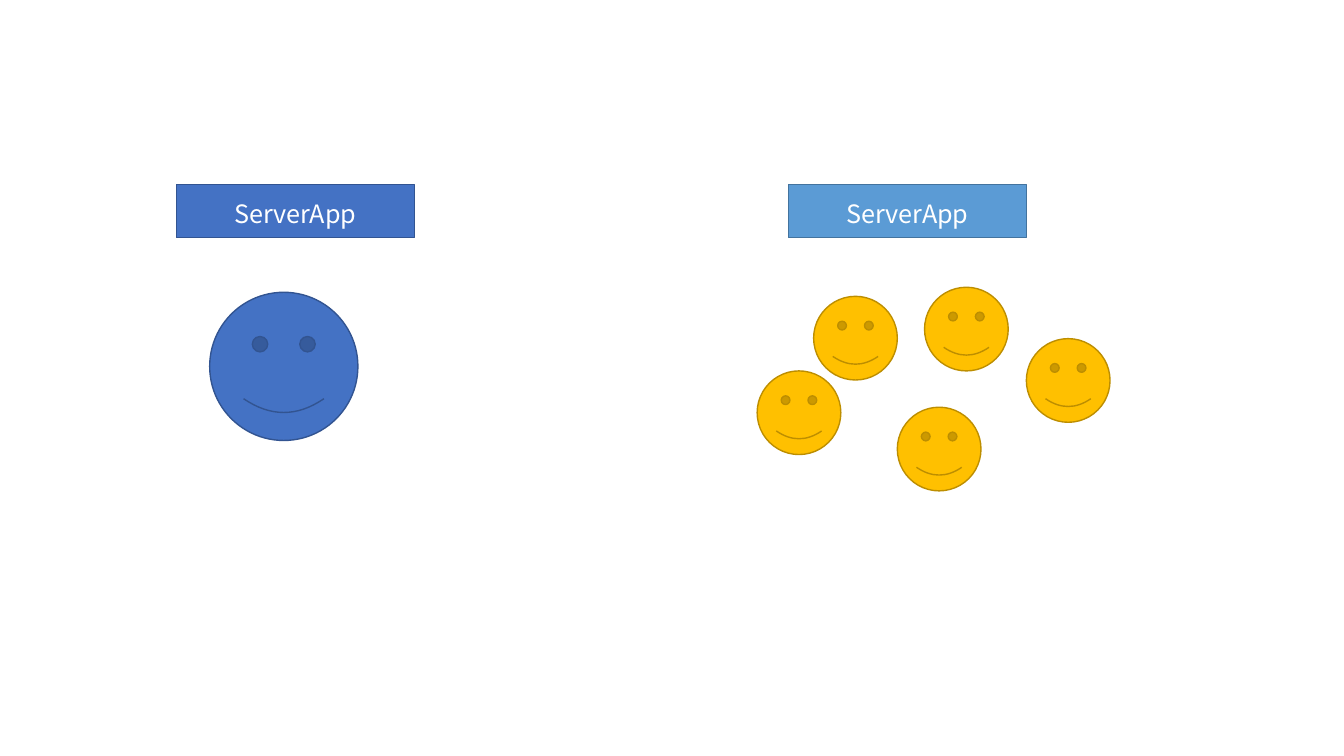
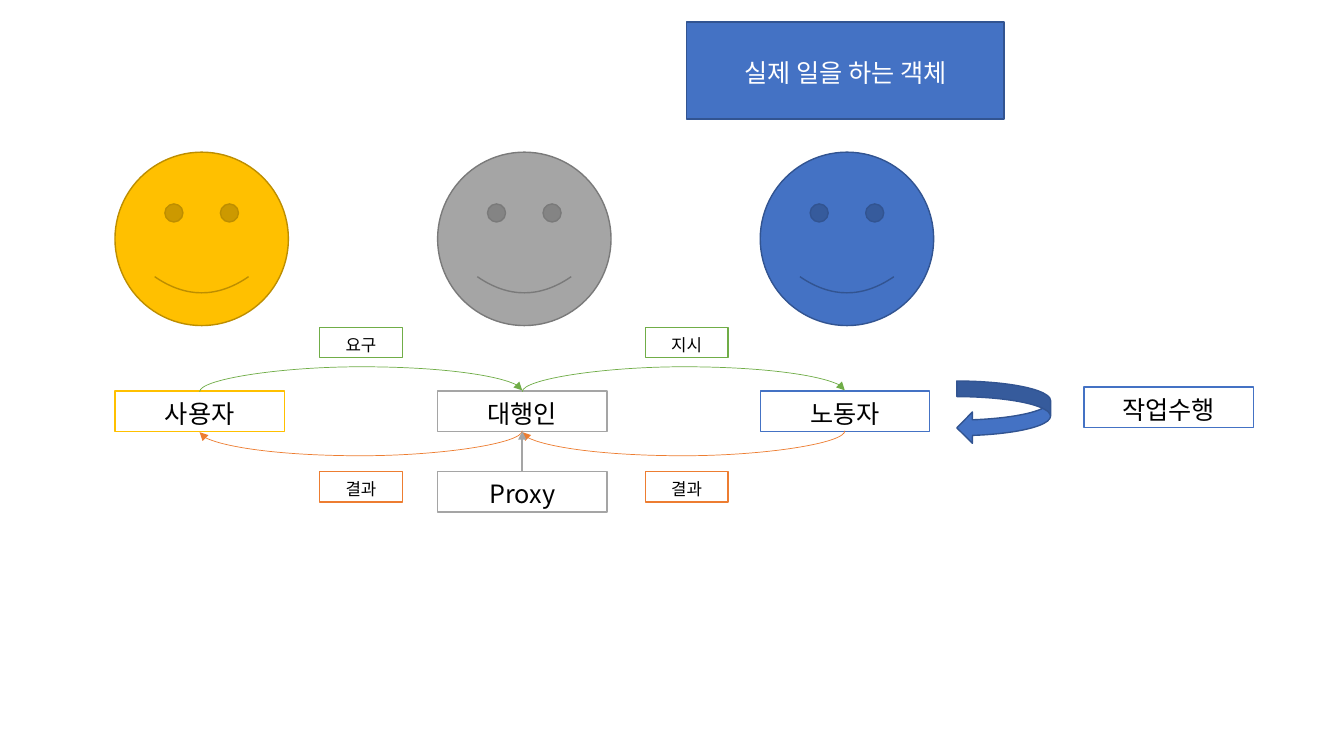
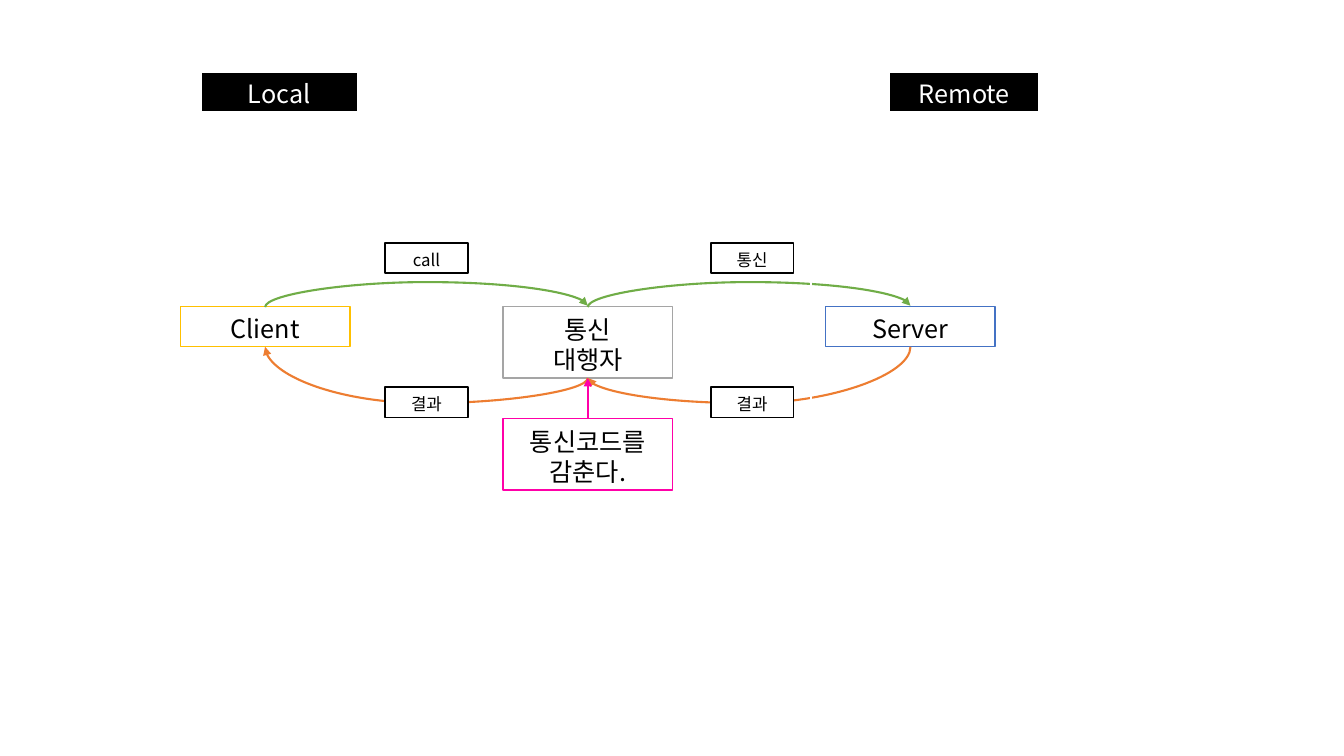
import pptx
import pptx.util
import pptx.dml.color
import pptx.enum.shapes
import pptx.enum.text
import pptx.oxml
import pptx.oxml.ns

SHAPES = pptx.enum.shapes.MSO_SHAPE
CONNECTORS = pptx.enum.shapes.MSO_CONNECTOR
FONT = "Noto Sans CJK KR"
CELL = pptx.util.Inches(0.1)
COLORS = {
    "white": "FFFFFF", "black": "000000", "blue": "4472C4", "navy": "325491",
    "sky": "5B9BD5", "steel": "43739E", "gold": "FFC000", "ochre": "BD8E00",
    "gray": "A5A5A5", "slate": "7A7A7A", "green": "70AD47", "orange": "ED7D31",
    "pink": "FF00A8",
}
EDGES = {"blue": "navy", "sky": "steel", "gold": "ochre", "gray": "slate"}

BOX_WIDTH, BOX_HEIGHT = 16.8, 4
LABEL_WIDTH, LABEL_HEIGHT = 8.2, 3
BOX_PITCH, LABEL_PITCH = 32, 32.3
LABEL_INSET, CALL_RISE, RESULT_DROP = 20.3, 6.3, 8
ARC_DEPTH = 2.5


def cells(count):
    return round(count * CELL)


def color(name):
    return pptx.dml.color.RGBColor.from_string(COLORS[name])


def add_figure(slide, kind, box, fill, line, width=1):
    shape = slide.shapes.add_shape(kind, *map(cells, box))
    shape.shadow.inherit = False
    shape.fill.solid()
    shape.fill.fore_color.rgb = color(fill)
    shape.line.color.rgb = color(line)
    shape.line.width = pptx.util.Pt(width)
    return shape


def add_box(slide, box, text, line, fill="white", ink="black", size=18, width=1):
    shape = add_figure(slide, SHAPES.RECTANGLE, box, fill, line, width)
    frame = shape.text_frame
    frame.word_wrap = True
    frame.vertical_anchor = pptx.enum.text.MSO_ANCHOR.MIDDLE
    frame.margin_top = pptx.util.Inches(0.04)
    frame.margin_bottom = 0
    for index, words in enumerate(text.split("\n")):
        paragraph = frame.add_paragraph() if index else frame.paragraphs[0]
        paragraph.alignment = pptx.enum.text.PP_ALIGN.CENTER
        paragraph.line_spacing = pptx.util.Pt(size * 1.2)
        run = paragraph.add_run()
        run.text = words
        run.font.name = FONT
        run.font.size = pptx.util.Pt(size)
        run.font.color.rgb = color(ink)
        properties = run.font._element
        east_asian = properties.makeelement(pptx.oxml.ns.qn("a:ea"), {"typeface": FONT})
        properties.find(pptx.oxml.ns.qn("a:latin")).addnext(east_asian)


def add_smiley(slide, box, fill):
    add_figure(slide, SHAPES.SMILEY_FACE, box, fill, EDGES[fill])


def add_line(slide, start, end, line, width=1.5, arrow=True, kind=CONNECTORS.STRAIGHT):
    connector = slide.shapes.add_connector(kind, *map(cells, (*start, *end)))
    connector.line.color.rgb = color(line)
    connector.line.width = pptx.util.Pt(width)
    if arrow:
        pptx.oxml.ns.qn("a:tailEnd")
        outline = connector.line._get_or_add_ln()
        tail = outline.makeelement(pptx.oxml.ns.qn("a:tailEnd"), {"type": "triangle"})
        outline.append(tail)
    properties = connector._element.spPr
    properties.append(properties.makeelement(pptx.oxml.ns.qn("a:effectLst"), {}))
    return connector


def add_arc(slide, start, end, crest, line, width):
    connector = add_line(slide, start, end, line, width, kind=CONNECTORS.CURVE)
    (start_x, start_y), (end_x, end_y) = start, end
    depth = max(cells(abs(end_y - start_y)), pptx.util.Pt(1))
    span = cells(abs(end_x - start_x))
    rising = end_y < start_y or (end_y == start_y and crest < start_y)
    connector.left = round(cells((start_x + end_x) / 2) - depth / 2)
    connector.top = round(cells((start_y + end_y) / 2) - span / 2)
    connector.width, connector.height = depth, span
    properties = connector._element.spPr
    frame = properties.find(pptx.oxml.ns.qn("a:xfrm"))
    frame.set("rot", str(90 * 60000))
    frame.set("flipH", str(int(rising)))
    frame.set("flipV", str(int(end_x > start_x)))
    bend = cells(crest - start_y) / depth * (-1 if rising else 1)
    geometry = properties.find(pptx.oxml.ns.qn("a:prstGeom"))
    geometry.set("prst", "curvedConnector3")
    adjustments = geometry.get_or_add_avLst()
    adjustments.append(adjustments.makeelement(
        pptx.oxml.ns.qn("a:gd"), {"name": "adj1", "fmla": f"val {round(bend * 100000)}"}))


def add_relay(slide, left, top, roles, calls, results, note, arc_width):
    centers, bottoms = [], []
    for index, (text, line, height) in enumerate(roles):
        x = left + index * BOX_PITCH
        add_box(slide, (x, top, BOX_WIDTH, height), text, line)
        centers.append(x + BOX_WIDTH / 2)
        bottoms.append(top + height)
    floor = max(bottoms) + ARC_DEPTH
    for index in range(len(roles) - 1):
        near, far = centers[index], centers[index + 1]
        add_arc(slide, (near, top), (far, top), top - ARC_DEPTH, "green", arc_width)
        add_arc(slide, (far, bottoms[index + 1]), (near, bottoms[index]), floor, "orange", arc_width)
    for (texts, line), offset in ((calls, -CALL_RISE), (results, RESULT_DROP)):
        for index, text in enumerate(texts):
            x = left + LABEL_INSET + index * LABEL_PITCH
            add_box(slide, (x, top + offset, LABEL_WIDTH, LABEL_HEIGHT), text, line, size=12)
    text, line, height = note
    note_top = bottoms[1] + 4
    add_box(slide, (left + BOX_PITCH, note_top, BOX_WIDTH, height), text, line)
    add_line(slide, (centers[1], note_top), (centers[1], bottoms[1]), line)


def add_server(slide, left, top, fill):
    add_box(slide, (left, top, 23.6, 5.3), "ServerApp", EDGES[fill], fill, "white")


def add_crowd(slide, left, top):
    for x, y in ((0, 8.3), (5.6, 0.9), (13.9, 11.9), (16.6, 0), (26.7, 5.1)):
        add_smiley(slide, (left + x, top + y, 8.3, 8.3), "gold")


def build_servers(slide):
    add_server(slide, 17.5, 18.3, "blue")
    add_server(slide, 78.2, 18.3, "sky")
    add_smiley(slide, (20.8, 29, 14.7, 14.7), "blue")
    add_crowd(slide, 75.1, 28.5)


def build_proxy(slide):
    left, top = 11.4, 38.8
    add_box(slide, (68.1, 2.2, 31.5, 9.6), "실제 일을 하는 객체", "navy", "blue", "white")
    for index, fill in enumerate(("gold", "gray", "blue")):
        add_smiley(slide, (left + index * BOX_PITCH, 15.1, 17.2, 17.2), fill)
    add_relay(
        slide, left, top,
        (("사용자", "gold", BOX_HEIGHT), ("대행인", "gray", BOX_HEIGHT), ("노동자", "blue", BOX_HEIGHT)),
        (("요구", "지시"), "green"), (("결과", "결과"), "orange"),
        ("Proxy", "gray", BOX_HEIGHT), 0.5)
    add_figure(slide, SHAPES.CURVED_LEFT_ARROW, (94.9, 37.8, 9.3, 6.2), "blue", "navy")
    add_box(slide, (107.5, 38.4, BOX_WIDTH, BOX_HEIGHT), "작업수행", "blue")


def build_remote_call(slide):
    tall = 7.1
    add_relay(
        slide, 17.9, 30.4,
        (("Client", "gold", BOX_HEIGHT), ("통신\n대행자", "gray", tall), ("Server", "blue", BOX_HEIGHT)),
        (("call", "통신"), "black"), (("결과", "결과"), "black"),
        ("통신코드를 감춘다.", "pink", tall), 1.5)
    for text, left, width in (("Local", 19.9, 15.6), ("Remote", 88.2, 14.9)):
        add_box(slide, (left, 7.1, width, BOX_HEIGHT), text, "white", "black", "white", width=1.5)
    add_line(slide, (80.4, 5.2), (80.4, 53.2), "white", arrow=False)


def main():
    presentation = pptx.Presentation()
    presentation.slide_width = pptx.util.Inches(13.33)
    presentation.slide_height = pptx.util.Inches(7.5)
    blank = presentation.slide_layouts.get_by_name("Blank")
    for build in (build_servers, build_proxy, build_remote_call):
        build(presentation.slides.add_slide(blank))
    presentation.save("out.pptx")


if __name__ == "__main__":
    main()
